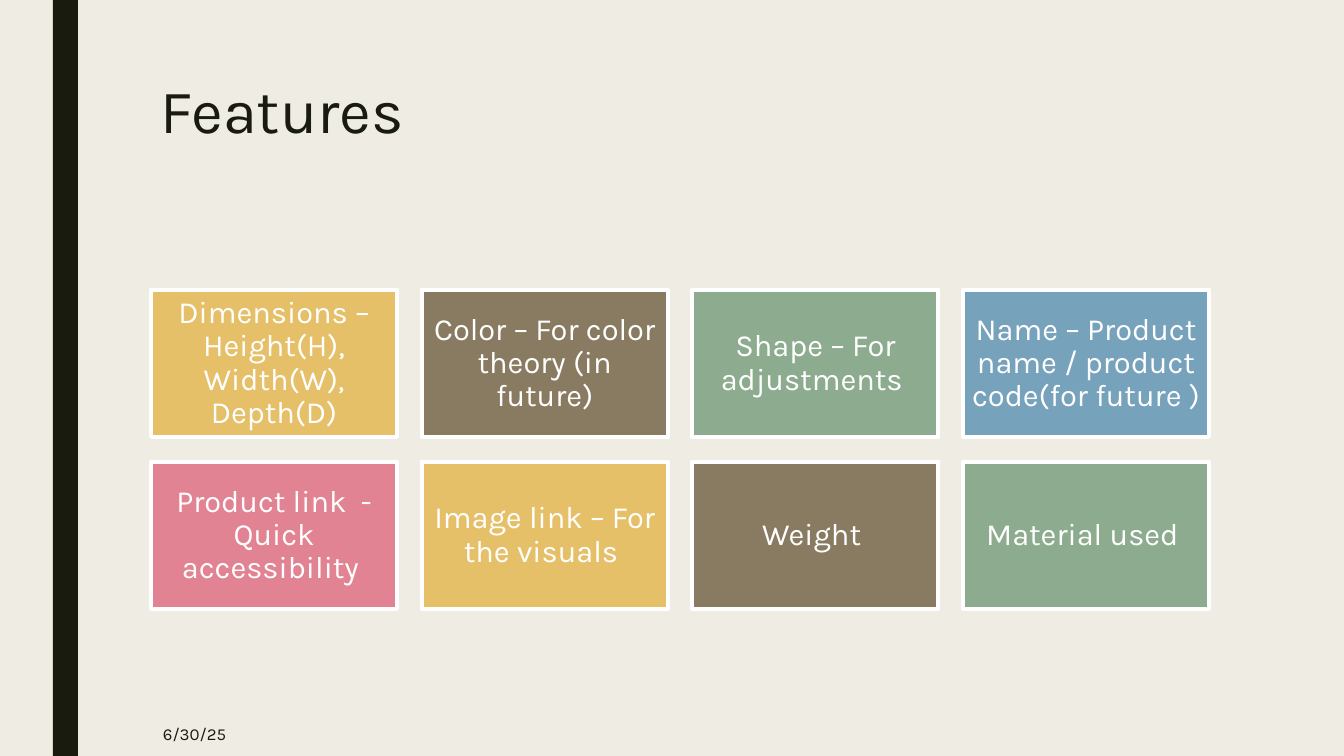
from pptx import Presentation
from pptx.dml.color import RGBColor
from pptx.enum.shapes import MSO_SHAPE as Shape
from pptx.enum.text import MSO_ANCHOR as Anchor, PP_ALIGN as Align
from pptx.util import Emu, Pt

FONT = "Karla"
PAPER, INK, WHITE = "EFEDE3", "191B0E", "FFFFFF"
GOLD, BROWN, GREEN, BLUE, PINK = "E6C069", "897B61", "8DAB8E", "77A2BB", "E28394"

COLUMNS, ROWS = 4, 2
CARD_WIDTH, CARD_HEIGHT = 246, 147
FEATURES = [
    ("Dimensions – Height(H), Width(W), Depth(D)", GOLD),
    ("Color – For color theory (in future)", BROWN),
    ("Shape – For adjustments ", GREEN),
    ("Name – Product name / product code(for future )", BLUE),
    ("Product link  - Quick accessibility ", PINK),
    ("Image link – For the visuals ", GOLD),
    ("Weight ", BROWN),
    ("Material used ", GREEN),
]


def px(length):
    """Turn pixels, 100.8 to the inch, into EMU."""
    return Emu(round(length * 914400 / 100.8))


def color(code):
    return RGBColor.from_string(code)


def add_rectangle(page, box, fill):
    shape = page.shapes.add_shape(Shape.RECTANGLE, *map(px, box))
    shape.shadow.inherit = False
    shape.fill.solid()
    shape.fill.fore_color.rgb = color(fill)
    shape.line.fill.background()
    return shape


def write(shape, text, size, ink, anchor, align=Align.LEFT, line_spacing=1.0):
    frame = shape.text_frame
    frame.word_wrap = True
    frame.vertical_anchor = anchor
    para = frame.paragraphs[0]
    para.text = text
    para.alignment = align
    para.line_spacing = line_spacing
    para.font.name = FONT
    para.font.size = Pt(size)
    para.font.color.rgb = color(ink)
    return frame


def add_label(page, box, text, size, anchor, line_spacing=1.0):
    label = page.shapes.add_textbox(*map(px, box))
    write(label, text, size, INK, anchor, line_spacing=line_spacing)


def add_card(page, box, text, fill):
    card = add_rectangle(page, box, fill)
    card.line.color.rgb = color(WHITE)
    card.line.width = Pt(2.75)
    frame = write(card, text, 22, WHITE, Anchor.MIDDLE, Align.CENTER, 0.9)
    frame.margin_left = frame.margin_right = px(9)
    frame.margin_top = frame.margin_bottom = px(9)


def add_feature_grid(page, box):
    """Spread the cards evenly, row by row, to the edges of the box."""
    left, top, width, height = box
    column_step = (width - CARD_WIDTH) / (COLUMNS - 1)
    row_step = (height - CARD_HEIGHT) / (ROWS - 1)
    for index, (text, fill) in enumerate(FEATURES):
        row, column = divmod(index, COLUMNS)
        place = (left + column * column_step, top + row * row_step)
        add_card(page, (*place, CARD_WIDTH, CARD_HEIGHT), text, fill)


def add_features_page(deck):
    page = deck.slides.add_slide(deck.slide_layouts[6])
    page.background.fill.solid()
    page.background.fill.fore_color.rgb = color(PAPER)
    add_rectangle(page, (53, 0, 25, 756), INK)
    add_label(page, (151, 76, 1058, 163), "Features", 44, Anchor.TOP, 0.89)
    add_feature_grid(page, (151, 290, 1058, 319))
    add_label(page, (153, 712, 133, 44), "6/30/25", 12, Anchor.MIDDLE)


def main():
    deck = Presentation()
    deck.slide_width, deck.slide_height = px(1344), px(756)
    add_features_page(deck)
    deck.save("out.pptx")


if __name__ == "__main__":
    main()
